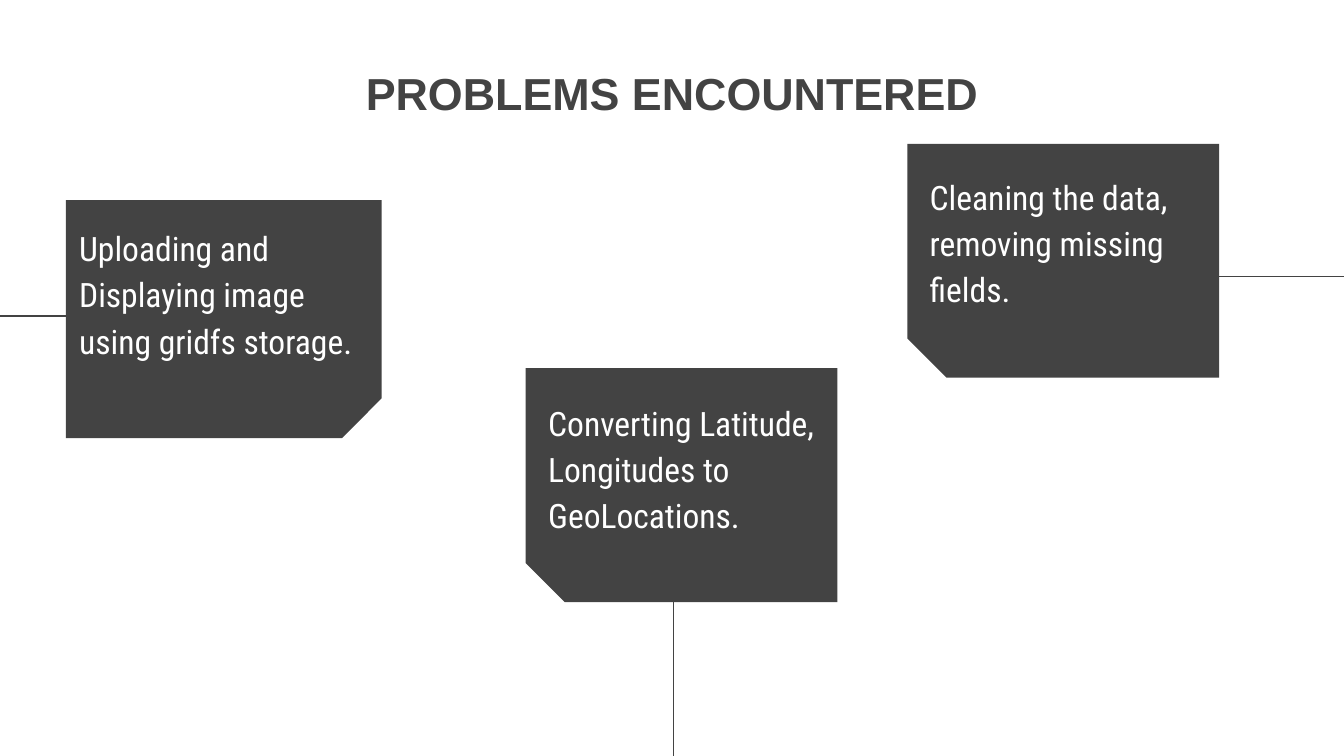
from dataclasses import dataclass

import pptx
import pptx.dml.color
import pptx.enum.shapes
import pptx.enum.text
import pptx.oxml.ns
import pptx.util
from pptx.util import Pt

DARK = pptx.dml.color.RGBColor(0x43, 0x43, 0x43)
WHITE = pptx.dml.color.RGBColor(0xFF, 0xFF, 0xFF)
SLIDE_WIDTH, SLIDE_HEIGHT = 720, 405
INSET = 7.2
SNIP = 0.167

TITLE_FONT = {"name": "Arial", "size": Pt(24), "bold": True}
BODY_FONT = {"name": "Roboto Condensed", "size": Pt(18)}
CENTERED = {"alignment": pptx.enum.text.PP_ALIGN.CENTER}
BODY_SPACING = {"line_spacing": 1.15, "space_after": Pt(16)}


@dataclass(frozen=True)
class Card:
    """A snipped box, given before its quarter turn, with its text and line to the slide edge."""
    text: str
    left: float
    top: float
    width: float
    height: float
    rotation: int
    flipped: bool
    text_left: float
    text_top: float
    line_start: tuple[float, float]
    line_end: tuple[float, float]


CARDS = [
    Card("Uploading and Displaying image using gridfs storage.",
         56.2, 86.4, 127.4, 169.2, 90, False, 35.3, 111.6,
         (190.8, 169.2), (0, 169.2)),
    Card("Cleaning the data, removing missing fields.",
         506.9, 56.2, 125.3, 167, 270, True, 491, 84.2,
         (SLIDE_WIDTH, 148.3), (526.3, 148.3)),
    Card("Converting Latitude, Longitudes to GeoLocations.",
         302.4, 176.4, 125.3, 167, 270, True, 286.6, 205.2,
         (360.7, SLIDE_HEIGHT), (360.7, 200.9)),
]


def set_format(target, values: dict) -> None:
    for name, value in values.items():
        setattr(target, name, value)


def add_text(slide, text: str, left: float, top: float, width: float, height: float,
             color, font: dict, layout: dict) -> None:
    box = slide.shapes.add_textbox(Pt(left), Pt(top), Pt(width), Pt(height))
    frame = box.text_frame
    set_format(frame, {"word_wrap": True,
                       "vertical_anchor": pptx.enum.text.MSO_ANCHOR.TOP})
    set_format(frame, {f"margin_{side}": Pt(INSET)
                       for side in ("left", "top", "right", "bottom")})
    para = frame.paragraphs[0]
    set_format(para, layout)
    span = para.add_run()
    span.text = text
    set_format(span.font, font)
    span.font.color.rgb = color


def add_line(slide, start: tuple[float, float], end: tuple[float, float]) -> None:
    line = slide.shapes.add_connector(pptx.enum.shapes.MSO_CONNECTOR.STRAIGHT,
                                      *map(Pt, start + end))
    line.line.color.rgb = DARK
    line.line.width = Pt(0.75)
    properties = line._element.spPr
    properties.append(properties.makeelement(pptx.oxml.ns.qn("a:effectLst"), {}))


def add_card(slide, card: Card) -> None:
    add_line(slide, card.line_start, card.line_end)
    box = slide.shapes.add_shape(pptx.enum.shapes.MSO_SHAPE.SNIP_1_RECTANGLE,
                                 Pt(card.left), Pt(card.top),
                                 Pt(card.width), Pt(card.height))
    box.adjustments[0] = SNIP
    box.rotation = card.rotation
    if card.flipped:
        box._element.spPr.xfrm.set("flipH", "1")
    box.shadow.inherit = False
    box.fill.solid()
    box.fill.fore_color.rgb = DARK
    box.line.fill.background()
    add_text(slide, card.text, card.text_left, card.text_top, 170, 79.2,
             WHITE, BODY_FONT, BODY_SPACING)


def main() -> None:
    deck = pptx.Presentation()
    deck.slide_width, deck.slide_height = Pt(SLIDE_WIDTH), Pt(SLIDE_HEIGHT)
    slide = deck.slides.add_slide(deck.slide_layouts[6])
    add_text(slide, "PROBLEMS ENCOUNTERED", 154.8, 28.1, 410.4, 74.2,
             DARK, TITLE_FONT, CENTERED)
    for card in CARDS:
        add_card(slide, card)
    deck.save("out.pptx")


if __name__ == "__main__":
    main()
